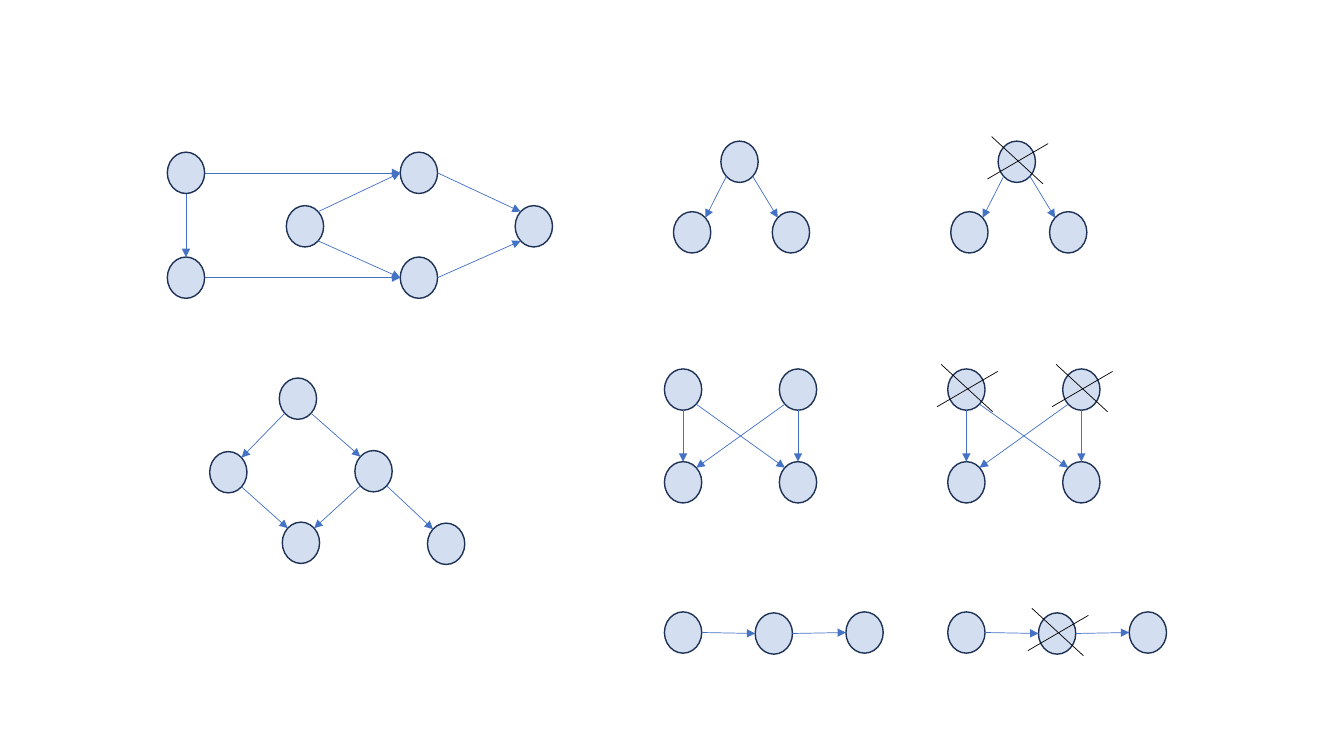
import math
import pptx
import pptx.util
import pptx.dml.color
import pptx.enum.shapes
import pptx.oxml.ns
import lxml.etree as etree

RGBColor = pptx.dml.color.RGBColor
BLUE = RGBColor(0x44, 0x72, 0xC4)
NAVY = RGBColor(0x1E, 0x32, 0x56)
BLACK = RGBColor(0, 0, 0)

COLS, ROWS = 133.3, 75
NODE_W, NODE_H = 3.7, 4.1
DIAG = math.sqrt(0.5)
SITES = {
    "n": (0, -1), "s": (0, 1), "w": (-1, 0), "e": (1, 0),
    "nw": (-DIAG, -DIAG), "ne": (DIAG, -DIAG),
    "sw": (-DIAG, DIAG), "se": (DIAG, DIAG),
}
CROSS = [((3.1, -1.8), (-2.9, 1.7)), ((-2.5, -2.5), (2.6, 2.2))]

# Nodes are centres in columns and rows; an edge is node, side, node, side.
NET = (
    {"a": (18.45, 17.15), "b": (18.45, 27.55), "c": (30.25, 22.45),
     "d": (41.55, 17.15), "e": (41.55, 27.55), "f": (52.95, 22.45)},
    ["a e d w", "d e f nw", "b e e w", "e e f sw",
     "c ne d w", "c se e w", "a s b n"],
)
TREE = (
    {"a": (29.55, 39.55), "b": (22.65, 46.85), "c": (37.05, 46.75),
     "d": (29.85, 53.85), "e": (44.25, 53.95)},
    ["a se c nw", "b se d nw", "c sw d ne", "a sw b ne", "c se e nw"],
)
FORK = (
    {"a": (73.35, 16.05), "b": (68.65, 23.05), "c": (78.45, 23.05)},
    ["a sw b ne", "a se c nw"],
)
MESH = (
    {"a": (67.75, 38.65), "b": (79.15, 38.65),
     "c": (67.75, 47.85), "d": (79.15, 47.85)},
    ["a s c n", "b s d n", "a se d nw", "b sw c ne"],
)
CHAIN = (
    {"a": (67.75, 62.75), "b": (76.75, 62.85), "c": (85.75, 62.75)},
    ["a e b w", "b e c w"],
)


class Board:
    def __init__(self, deck):
        self.slide = deck.slides.add_slide(deck.slide_layouts[6])
        self.col = deck.slide_width / COLS
        self.row = deck.slide_height / ROWS
        self.group = None

    def place(self, x, y):
        return round(x * self.col), round(y * self.row)

    def start(self):
        self.group = self.slide.shapes.add_group_shape()

    def node(self, x, y):
        shape = self.group.shapes.add_shape(
            pptx.enum.shapes.MSO_SHAPE.OVAL,
            *self.place(x - NODE_W / 2, y - NODE_H / 2),
            *self.place(NODE_W, NODE_H))
        shape.shadow.inherit = False
        shape.fill.solid()
        shape.fill.fore_color.rgb = BLUE
        tint = shape._element.spPr.find(".//" + pptx.oxml.ns.qn("a:srgbClr"))
        etree.SubElement(tint, pptx.oxml.ns.qn("a:alpha"), val="23000")
        shape.line.color.rgb = NAVY
        shape.line.width = pptx.util.Pt(1)

    def line(self, start, end, color, arrow=False):
        line = self.group.shapes.add_connector(
            pptx.enum.shapes.MSO_CONNECTOR.STRAIGHT,
            *self.place(*start), *self.place(*end))
        line.line.color.rgb = color
        line.line.width = pptx.util.Pt(0.5)
        props = line._element.spPr
        if arrow:
            stroke = props.find(pptx.oxml.ns.qn("a:ln"))
            etree.SubElement(stroke, pptx.oxml.ns.qn("a:tailEnd"),
                             type="triangle")
        etree.SubElement(props, pptx.oxml.ns.qn("a:effectLst"))

    def cross(self, x, y):
        for (x1, y1), (x2, y2) in CROSS:
            self.line((x + x1, y + y1), (x + x2, y + y2), BLACK)

    def graph(self, plan, shift=0, crossed=""):
        """Draw a plan moved right by shift columns, with some nodes struck."""
        nodes, edges = plan
        spots = {name: (x + shift, y) for name, (x, y) in nodes.items()}
        for spot in spots.values():
            self.node(*spot)
        for edge in edges:
            tail, out, head, side = edge.split()
            self.line(rim(spots[tail], out), rim(spots[head], side),
                      BLUE, arrow=True)
        for name in crossed:
            self.cross(*spots[name])


def rim(spot, side):
    """Return the point on a node's outline at a compass side."""
    dx, dy = SITES[side]
    return spot[0] + dx * NODE_W / 2, spot[1] + dy * NODE_H / 2


def main():
    deck = pptx.Presentation()
    deck.slide_width = pptx.util.Inches(13.33)
    deck.slide_height = pptx.util.Inches(7.5)
    board = Board(deck)
    for plan in (NET, TREE):
        board.start()
        board.graph(plan)
    for plan, shift, crossed in ((FORK, 27.5, "a"), (MESH, 28.1, "ab"),
                                 (CHAIN, 28.1, "b")):
        board.start()
        board.graph(plan)
        board.graph(plan, shift, crossed)
    deck.save("out.pptx")


if __name__ == "__main__":
    main()
